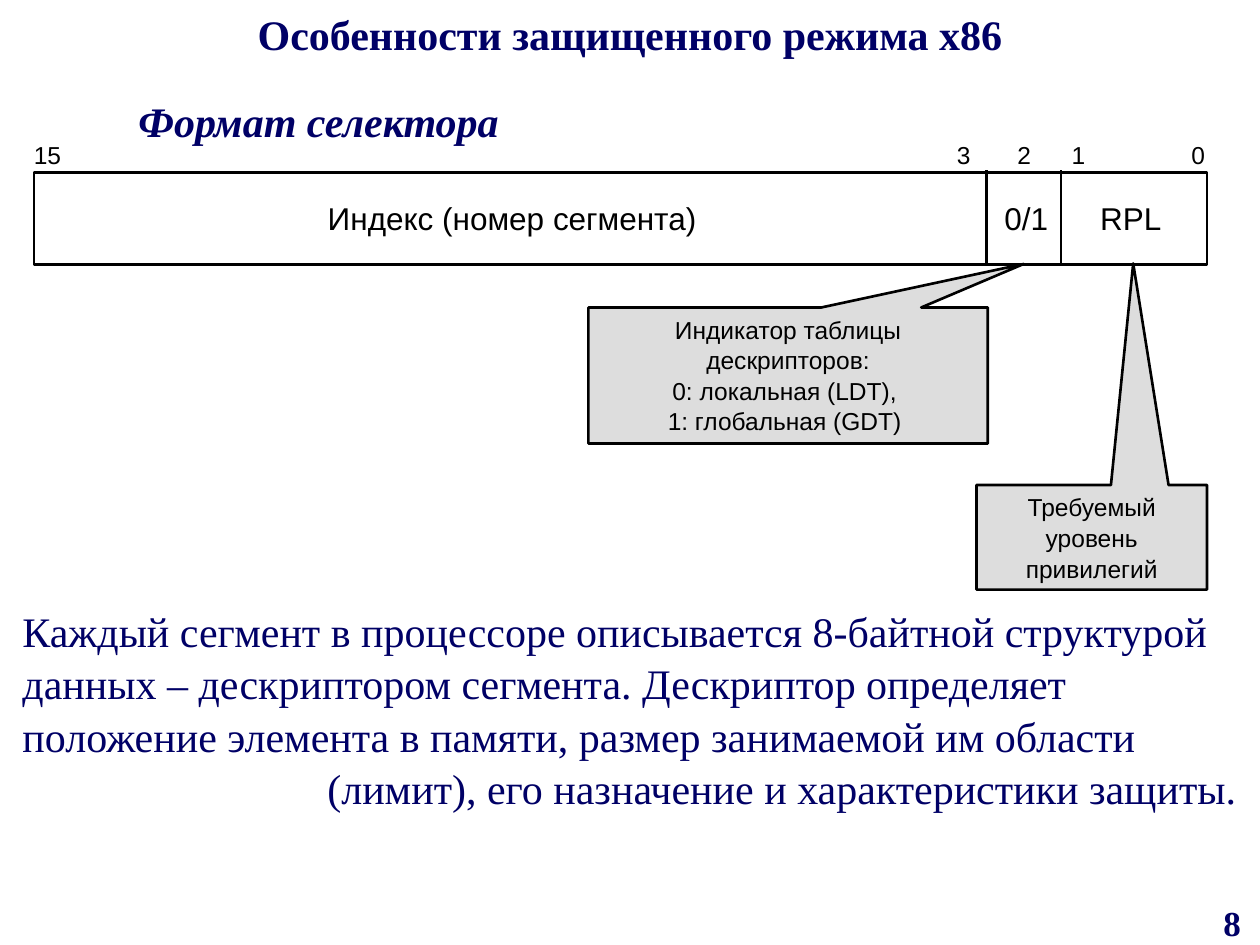
from pptx import Presentation
from pptx.dml.color import RGBColor
from pptx.enum.shapes import MSO_CONNECTOR as Connector, MSO_SHAPE as Shape
from pptx.enum.text import MSO_ANCHOR as Anchor, MSO_AUTO_SIZE as AutoSize, PP_ALIGN as Align
from pptx.oxml.ns import qn
from pptx.util import Inches, Pt
from lxml.etree import SubElement

NAVY = RGBColor(0x00, 0x00, 0x66)
BLACK = RGBColor(0x00, 0x00, 0x00)
GRAY = RGBColor(0xDD, 0xDD, 0xDD)
SERIF, SANS = "Times New Roman", "Arial"
COLUMNS, ROWS = 100, 75

REGISTER_LEFT, REGISTER_TOP, REGISTER_WIDTH, REGISTER_HEIGHT = 2.7, 13.7, 93.1, 7.3
FIELD_BORDERS = (78.3, 84.2)
FIELDS = (
    ("Индекс (номер сегмента)", 3.8, 73.7),
    ("0/1", 76.7, 9.5),
    ("RPL", 85, 9.5),
)
BIT_STOPS = (7.38, 7.86, 8.29, 9.24)
CALLOUTS = (
    (("Требуемый уровень привилегий",), (77.5, 38.5, 18.3, 8.3), (0.18, -2.62)),
    (
        ("Индикатор таблицы дескрипторов:", "0: локальная (LDT), ", "1: глобальная (GDT) "),
        (46.7, 24.4, 31.7, 10.8),
        (0.59, -0.82),
    ),
)
DESCRIPTION = (
    "Каждый сегмент в процессоре описывается 8-байтной структурой",
    "данных – дескриптором сегмента. Дескриптор определяет",
    "положение элемента в памяти, размер занимаемой им области",
    "(лимит), его назначение и характеристики защиты.",
)


def write(frame, *lines, font=SANS, size=14, color=BLACK, bold=False, italic=False,
          align=Align.CENTER, wrap=True, stops=(), last_indent=0):
    frame.word_wrap = wrap
    frame.auto_size = AutoSize.NONE if wrap else AutoSize.SHAPE_TO_FIT_TEXT
    frame.vertical_anchor = Anchor.TOP
    frame.margin_left = frame.margin_right = Inches(0.1)
    frame.margin_top = frame.margin_bottom = Inches(0.05)
    for number, line in enumerate(lines):
        paragraph = frame.paragraphs[0] if number == 0 else frame.add_paragraph()
        paragraph.alignment = align
        paragraph.line_spacing = 1.04
        paragraph.space_before = Pt(0)
        properties = paragraph._p.get_or_add_pPr()
        if stops:
            tabs = SubElement(properties, qn("a:tabLst"))
            for stop in stops:
                SubElement(tabs, qn("a:tab"), pos=str(Inches(stop)), algn="ctr")
        if last_indent and number == len(lines) - 1:
            properties.set("marL", str(Inches(last_indent)))
        run = paragraph.add_run()
        run.text = line
        run.font.name, run.font.size = font, Pt(size)
        run.font.bold, run.font.italic = bold, italic
        run.font.color.rgb = color


class SlideBuilder:
    line_width = Pt(1.5)

    def __init__(self, deck):
        self.column = deck.slide_width / COLUMNS
        self.row = deck.slide_height / ROWS
        self.slide = deck.slides.add_slide(deck.slide_layouts[5])

    def place(self, left, top, width, height):
        return (int(left * self.column), int(top * self.row),
                int(width * self.column), int(height * self.row))

    def title(self, text, *area, **style):
        title = self.slide.shapes.title
        title.left, title.top, title.width, title.height = self.place(*area)
        write(title.text_frame, text, **style)

    def text(self, lines, *area, **style):
        box = self.slide.shapes.add_textbox(*self.place(*area))
        write(box.text_frame, *lines, **style)

    def shape(self, kind, *area, fill=None):
        shape = self.slide.shapes.add_shape(kind, *self.place(*area))
        shape.shadow.inherit = False
        if fill is None:
            shape.fill.background()
        else:
            shape.fill.solid()
            shape.fill.fore_color.rgb = fill
        shape.line.color.rgb = BLACK
        shape.line.width = self.line_width
        return shape

    def callout(self, lines, area, tip):
        callout = self.shape(Shape.RECTANGULAR_CALLOUT, *area, fill=GRAY)
        callout.adjustments[0], callout.adjustments[1] = tip
        write(callout.text_frame, *lines)

    def border(self, column, top, bottom):
        start_x, start_y, _, end_y = self.place(column, top, 0, bottom)
        line = self.slide.shapes.add_connector(Connector.STRAIGHT, start_x, start_y, start_x, end_y)
        line.line.color.rgb = BLACK
        line.line.width = self.line_width
        SubElement(line._element.spPr, qn("a:effectLst"))


def main():
    deck = Presentation()
    deck.slide_width, deck.slide_height = Inches(10), Inches(7.5)
    page = SlideBuilder(deck)
    heading = dict(font=SERIF, color=NAVY, bold=True)

    page.title("Особенности защищенного режима х86", 0, 0, 100, 6.3, size=24, **heading)
    page.text(["8"], 95.6, 70.9, 4.4, 4.1, size=20, **heading)
    page.text(["Формат селектора"], 10, 6.9, 31.8, 5, size=24, italic=True,
              align=Align.LEFT, wrap=False, **heading)

    page.shape(Shape.RECTANGLE, REGISTER_LEFT, REGISTER_TOP, REGISTER_WIDTH, REGISTER_HEIGHT)
    page.text(["15\t3\t2\t1\t0"], 1.7, 10.5, 95.2, 3.4, align=Align.LEFT, stops=BIT_STOPS)
    for column in FIELD_BORDERS:
        page.border(column, REGISTER_TOP - 0.2, REGISTER_TOP + REGISTER_HEIGHT)
    for label, left, width in FIELDS:
        page.text([label], left, 15.2, width, 4, size=18)
    for lines, area, tip in CALLOUTS:
        page.callout(lines, area, tip)

    page.text(DESCRIPTION, 0.8, 47.4, 98.6, 17, font=SERIF, size=24, color=NAVY,
              align=Align.LEFT, wrap=False, last_indent=2.42)
    deck.save("out.pptx")


if __name__ == "__main__":
    main()
